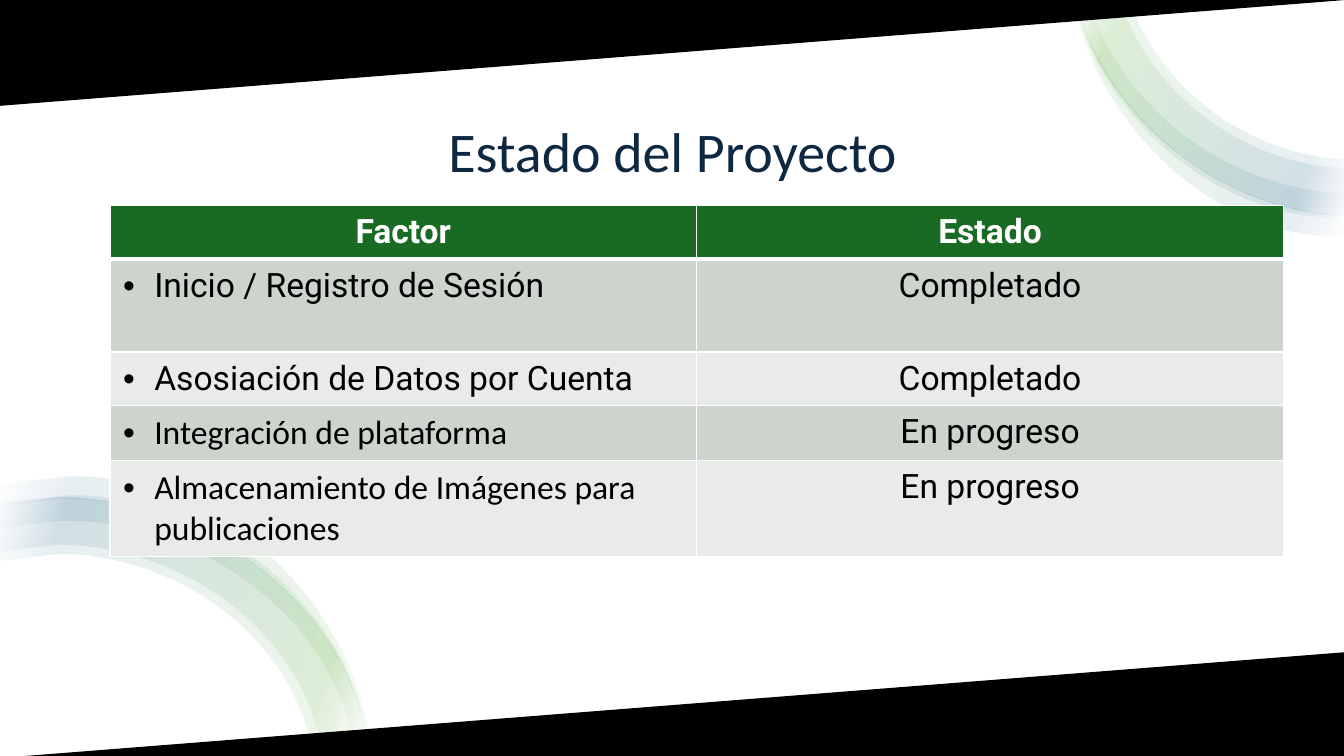
from lxml import etree
from pptx import Presentation
from pptx.dml.color import RGBColor
from pptx.enum.text import MSO_ANCHOR, PP_ALIGN
from pptx.oxml import parse_xml
from pptx.oxml.ns import nsdecls, qn
from pptx.util import Inches, Pt

CENTER, LEFT = PP_ALIGN.CENTER, PP_ALIGN.LEFT
BOTTOM = MSO_ANCHOR.BOTTOM
WIDTH, HEIGHT = 13.33, 7.5

# Content
TITLE = "Estado del Proyecto"
HEADER = ("Factor", "Estado")
FACTORS = [
    ("Inicio / Registro de Sesión", "Completado", "Roboto"),
    ("Asosiación de Datos por Cuenta", "Completado", "Roboto"),
    ("Integración de plataforma", "En progreso", "Calibri"),
    ("Almacenamiento de Imágenes para publicaciones", "En progreso", "Calibri"),
]
ROW_HEIGHTS = (0.53, 0.92, 0.53, 0.53, 0.94)

THEME = {
    "title": {"name": "Calibri", "size": Pt(40), "color": "0E2841", "bold": False},
    "header": {"name": "Roboto", "size": Pt(24), "color": "FFFFFF", "bold": True},
    "body": {"name": "Roboto", "size": Pt(24), "color": "000000", "bold": False},
    "header_fill": "196B24",
    "row_fills": ("CCD4CD", "E8EBE8"),
    "background": "FFFFFF",
    "border": "FFFFFF",
    "wedge": "000000",
    "arc_stops": ((2, "FFFFFF"), (16, "4EA72E"), (85, "156082"), (100, "FFFFFF")),
    "arc_alpha": 10,
}

# Lower-left arcs, outer and inner edge: foot x on the slide bottom, apex x, apex y
ARCS = [
    ((3.68, 0.57, 4.94), (3.09, 0.57, 5.5)),
    ((3.68, 0.57, 4.94), (3.19, 0.57, 5.41)),
    ((3.68, 0.71, 4.92), (3.52, 0.62, 5.17)),
    ((3.69, 0.72, 4.73), (3.66, 0.6, 4.95)),
]
WEDGES = [
    [(13.35, 6.48), (0, 7.53), (13.44, 7.6)],
    [(-0.01, 1.04), (13.34, -0.01), (-0.1, -0.08)],
]


def arc_edge(foot, apex_x, apex_y, steps=30):
    """Points from the slide bottom up to the apex and on to the left border."""
    w, h = foot - apex_x, HEIGHT - apex_y
    ctrl = [(foot, HEIGHT), (foot - 0.06 * w, HEIGHT - 0.57 * h),
            (apex_x + 0.48 * w, apex_y), (apex_x, apex_y)]
    points = []
    for t in (i / steps for i in range(steps + 1)):
        weights = ((1 - t) ** 3, 3 * t * (1 - t) ** 2, 3 * t * t * (1 - t), t ** 3)
        points.append(tuple(sum(k * c[axis] for k, c in zip(weights, ctrl))
                            for axis in (0, 1)))
    return points + [(0, apex_y + 0.07)]


def to_top_right(points):
    """Turn a lower-left arc into the upper-right corner, kept on the slide."""
    return [(min(13.94 - x / 1.09, WIDTH), max(7.08 - y, 0)) for x, y in points]


def add_outline(slide, outline):
    points = [(Inches(x), Inches(y)) for x, y in outline]
    builder = slide.shapes.build_freeform(*points[0], scale=1.0)
    builder.add_line_segments(points[1:], close=True)
    s = builder.convert_to_shape()
    s.shadow.inherit = False
    return s


def add_arc(slide, outline, angle):
    s = add_outline(slide, outline)
    alpha = THEME["arc_alpha"] * 1000
    stops = "".join(f'<a:gs pos="{pos * 1000}"><a:srgbClr val="{color}">'
                    f'<a:alpha val="{alpha}"/></a:srgbClr></a:gs>'
                    for pos, color in THEME["arc_stops"])
    s._element.spPr.insert(2, parse_xml(
        f'<a:gradFill {nsdecls("a")} rotWithShape="1"><a:gsLst>{stops}</a:gsLst>'
        f'<a:lin ang="{angle * 60000}" scaled="0"/></a:gradFill>'))
    s.line.fill.background()


def write(tf, text, style, align, **changes):
    p = tf.paragraphs[0]
    p.alignment = align
    r = p.add_run()
    r.text = text
    for key, value in {**style, **changes}.items():
        if key == "color":
            r.font.color.rgb = RGBColor.from_string(value)
        else:
            setattr(r.font, key, value)
    return p


def add_bullet(p):
    pPr = p._p.get_or_add_pPr()
    pPr.set("marL", str(Inches(0.31)))
    pPr.set("indent", str(-Inches(0.31)))
    etree.SubElement(pPr, qn("a:buFont"), typeface="Arial")
    etree.SubElement(pPr, qn("a:buChar"), char="•")


def format_cell(cell, fill, top, bottom):
    margins = {"margin_left": 0.13, "margin_right": 0.13,
               "margin_top": 0.07, "margin_bottom": 0.07}
    for key, value in margins.items():
        setattr(cell, key, Inches(value))
    tcPr = cell._tc.get_or_add_tcPr()
    for side, width in (("L", 1), ("R", 1), ("T", top), ("B", bottom)):
        tcPr.append(parse_xml(
            f'<a:ln{side} {nsdecls("a")} w="{Pt(width)}"><a:solidFill>'
            f'<a:srgbClr val="{THEME["border"]}"/></a:solidFill></a:ln{side}>'))
    cell.fill.solid()
    cell.fill.fore_color.rgb = RGBColor.from_string(fill)


def main():
    prs = Presentation()
    prs.slide_width, prs.slide_height = Inches(WIDTH), Inches(HEIGHT)
    slide = prs.slides.add_slide(prs.slide_layouts[5])
    slide.background.fill.solid()
    slide.background.fill.fore_color.rgb = RGBColor.from_string(THEME["background"])

    # Title
    title = slide.shapes.title
    title.left, title.top, title.width, title.height = map(Inches, (0.85, 1.03, 11.64, 0.85))
    title.text_frame.vertical_anchor = BOTTOM
    write(title.text_frame, TITLE, THEME["title"], CENTER).line_spacing = 0.9

    # Translucent arcs in two corners
    outlines = [arc_edge(*outer) + arc_edge(*inner)[::-1] for outer, inner in ARCS]
    for outline in outlines:
        add_arc(slide, to_top_right(outline), 20)
    for outline in outlines:
        add_arc(slide, outline, 200)

    # Black wedges
    for outline in WEDGES:
        s = add_outline(slide, outline)
        s.fill.solid()
        s.fill.fore_color.rgb = s.line.color.rgb = RGBColor.from_string(THEME["wedge"])
        s.line.width = Pt(1.5)

    # Status table
    table = slide.shapes.add_table(len(ROW_HEIGHTS), len(HEADER), Inches(1.09), Inches(2.04),
                                   Inches(11.64), Inches(sum(ROW_HEIGHTS))).table
    for row, height in zip(table.rows, ROW_HEIGHTS):
        row.height = Inches(height)
    for col, text in enumerate(HEADER):
        cell = table.cell(0, col)
        format_cell(cell, THEME["header_fill"], 1, 3)
        write(cell.text_frame, text, THEME["header"], CENTER)
    for i, (factor, status, font) in enumerate(FACTORS):
        cells = table.cell(i + 1, 0), table.cell(i + 1, 1)
        for cell in cells:
            format_cell(cell, THEME["row_fills"][i % 2], 1 if i else 3, 1)
        add_bullet(write(cells[0].text_frame, factor, THEME["body"], LEFT, name=font))
        write(cells[1].text_frame, status, THEME["body"], CENTER)

    prs.save("out.pptx")


if __name__ == "__main__":
    main()
